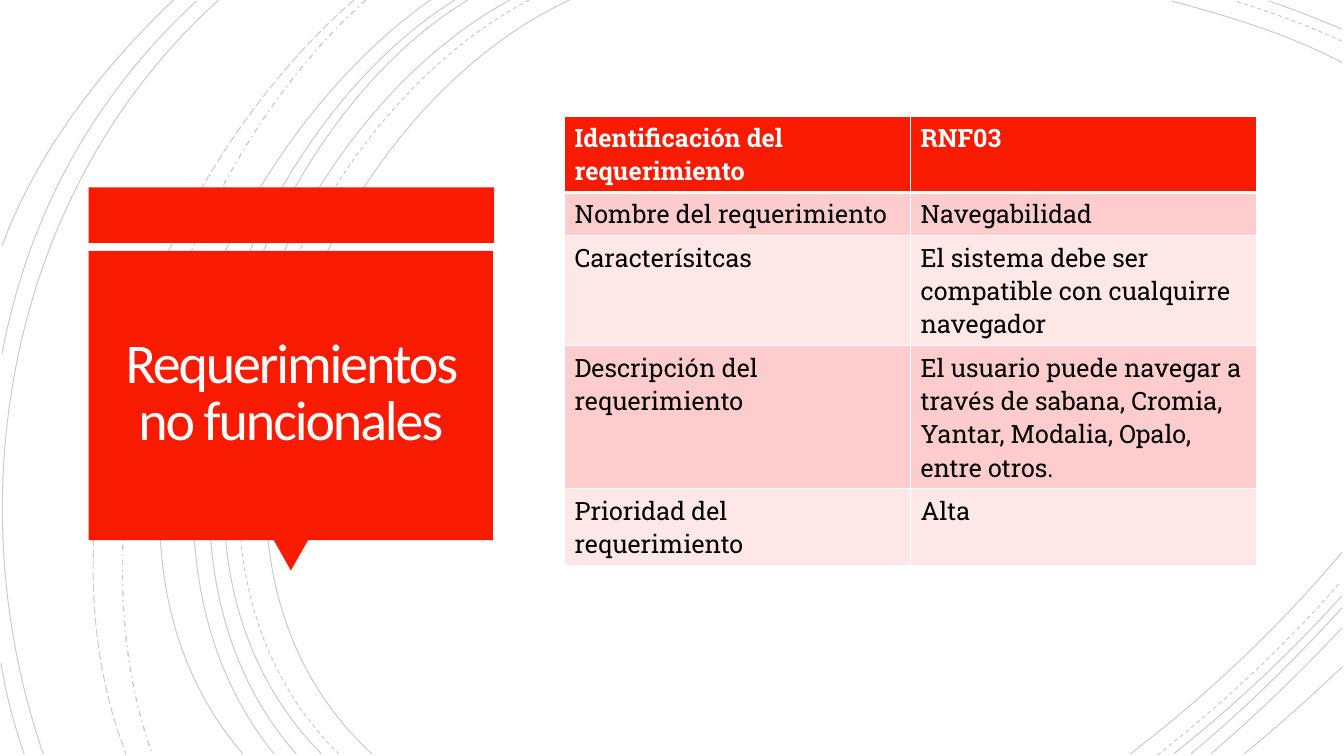
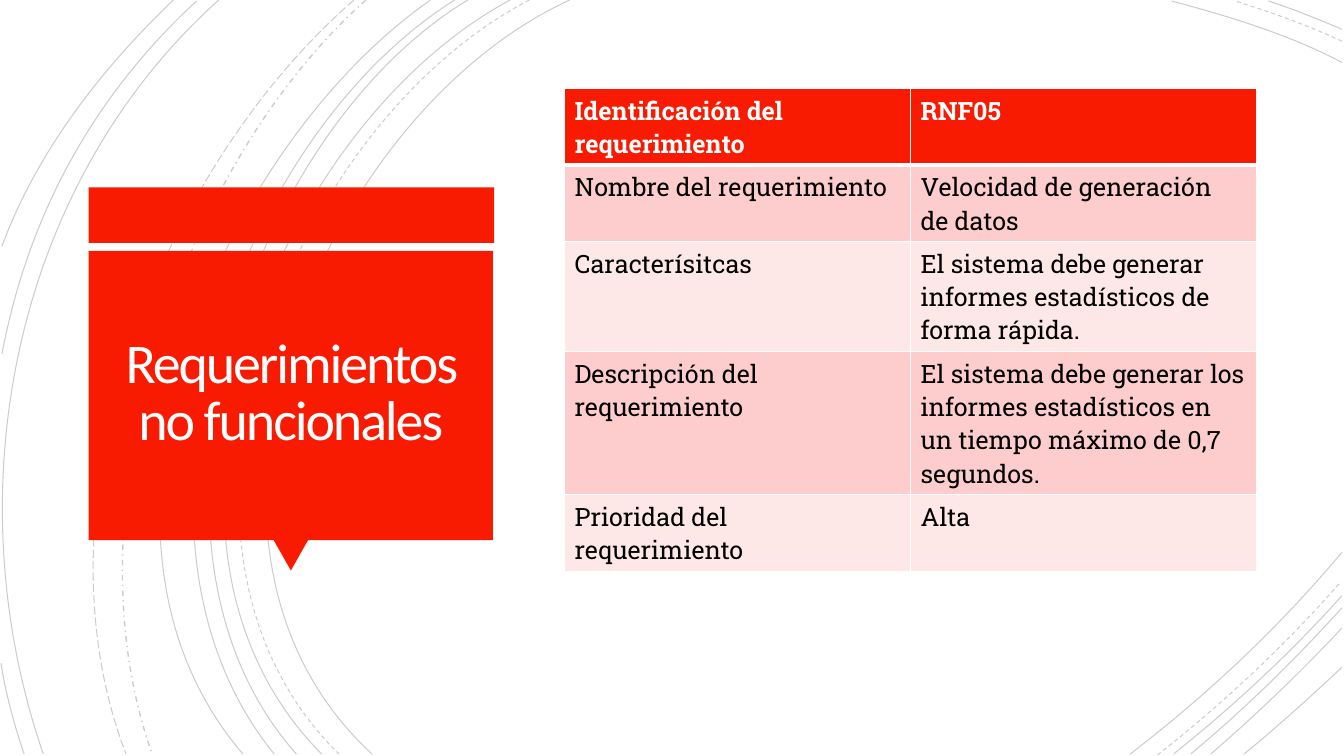
from dataclasses import dataclass
from typing import Any, NamedTuple

from lxml import etree
from pptx import Presentation
from pptx import util as u
from pptx.dml import color
from pptx.enum import dml, shapes, text
from pptx.oxml import ns


@dataclass(frozen=True)
class Theme:
    red: str = "F81B02"
    band_dark: str = "FCCDCC"
    band_light: str = "FEE8E7"
    white: str = "FFFFFF"
    title_ink: str = "FFFEFF"
    ink: str = "000000"
    title_font: str = "Calibri"
    table_font: str = "Roboto Slab"
    title_size: float = 40
    table_size: float = 18
    title_tracking: float = -1.5
    arc_opacity: int = 20
    border: float = 1
    header_border: float = 3


class Box(NamedTuple):
    left: float
    top: float
    width: float
    height: float

    def lengths(self) -> list[u.Length]:
        return [u.Inches(side) for side in self]


class Arc(NamedTuple):
    """A cubic curve: start, two control points and end, in inches."""
    points: tuple[tuple[float, float], ...]
    dash: Any = dml.MSO_LINE.SOLID
    weight: float = 0.75


class Panel(NamedTuple):
    preset: Any
    box: Box
    rotation: float = 0


class Requirement(NamedTuple):
    table_top: float
    lines_per_row: tuple[int, ...]
    code: str
    name: str
    features: str
    description: str
    priority: str


THEME = Theme()
SLIDE_SIZE = (13.33, 7.5)
DASH = dml.MSO_LINE.DASH

ARCS = (
    Arc(((5.65, 0), (3.15, 1.15), (1.43, 5.4), (3.69, 7.48))),
    Arc(((13.31, 0.62), (12.78, 0.34), (12.18, 0.16), (11.62, 0.01))),
    Arc(((11.21, 7.48), (11.97, 6.9), (12.69, 6.22), (13.31, 5.48))),
    Arc(((5.25, 0), (2.85, 1.25), (1.23, 5.37), (3.36, 7.48)), DASH),
    Arc(((13.31, 0.41), (12.97, 0.25), (12.6, 0.12), (12.25, 0.01)), DASH),
    Arc(((11.48, 7.49), (12.13, 6.98), (12.75, 6.4), (13.3, 5.77)), DASH),
    Arc(((5.06, 0), (2.7, 1.27), (1.1, 5.37), (3.19, 7.48))),
    Arc(((13.31, 0.29), (13.07, 0.19), (12.83, 0.09), (12.58, 0.01))),
    Arc(((11.64, 7.48), (12.23, 7.01), (12.8, 6.48), (13.31, 5.91))),
    Arc(((4.64, 0), (2.44, 1.33), (1.1, 5.41), (2.94, 7.48))),
    Arc(((11.81, 7.48), (12.34, 7.04), (12.84, 6.55), (13.31, 6.03))),
    Arc(((4.51, 0), (2.31, 1.38), (0.97, 5.33), (2.72, 7.48))),
    Arc(((12.01, 7.48), (12.46, 7.09), (12.9, 6.67), (13.31, 6.23))),
    Arc(((4.27, 0), (2.17, 1.47), (0.53, 5.29), (2.41, 7.48))),
    Arc(((12.34, 7.48), (12.67, 7.21), (12.99, 6.92), (13.31, 6.62))),
    Arc(((3.63, 0), (1.76, 1.66), (0.65, 5.09), (1.51, 7.48)), dml.MSO_LINE.DASH_DOT, 1),
    Arc(((3.51, 0), (1.57, 1.69), (0.29, 4.99), (1.25, 7.48)), dml.MSO_LINE.LONG_DASH),
    Arc(((2.17, 0), (0.11, 1.85), (-0.46, 4.9), (0.43, 7.48))),
    Arc(((1.95, 0.01), (0.92, 0.96), (0.28, 2.14), (0.02, 3.51))),
    Arc(((0.01, 6.58), (0.06, 6.89), (0.14, 7.19), (0.24, 7.48))),
    Arc(((1.72, 0), (1, 0.69), (0.37, 1.5), (0.02, 2.44))),
)

PANELS = (
    Panel(shapes.MSO_SHAPE.RECTANGLE, Box(0.88, 1.86, 4.02, 0.55)),
    Panel(shapes.MSO_SHAPE.ISOSCELES_TRIANGLE, Box(2.71, 5.35, 0.35, 0.31), 180),
    Panel(shapes.MSO_SHAPE.RECTANGLE, Box(0.88, 2.49, 4.01, 2.87)),
)

TITLE = "Requerimientos no funcionales"
TITLE_BOX = Box(0.97, 2.57, 3.83, 2.69)
TITLE_INSET = 0.25

TABLE_LEFT, TABLE_WIDTH = 5.6, 6.86
ROW_PADDING, LINE_HEIGHT = 0.1, 0.33
ROW_LABELS = (
    "Identificación del requerimiento",
    "Nombre del requerimiento",
    "Caracterísitcas",
    "Descripción del requerimiento",
    "Prioridad del requerimiento",
)

REQUIREMENTS = (
    Requirement(
        1.15, (2, 1, 3, 4, 2), "RNF03", "Navegabilidad",
        "El sistema debe ser compatible con cualquirre navegador",
        "El usuario puede navegar a través de sabana, Cromia, Yantar, Modalia, Opalo, entre otros.",
        "Alta",
    ),
    Requirement(
        0.88, (2, 2, 3, 4, 2), "RNF05", "Velocidad de generación de datos",
        "El sistema debe generar informes estadísticos de forma rápida.",
        "El sistema debe generar los informes estadísticos en un tiempo máximo de 0,7 segundos.",
        "Alta",
    ),
)


def rgb(code: str) -> color.RGBColor:
    return color.RGBColor.from_string(code)


def apply_format(target: Any, values: dict[str, Any]) -> None:
    for attribute, value in values.items():
        setattr(target, attribute, value)


def style_font(font: Any, ink: str, **values: Any) -> None:
    apply_format(font, values)
    font.color.rgb = rgb(ink)


def draw_arc(group: Any, arc: Arc) -> None:
    start, *rest = [(u.Inches(x), u.Inches(y)) for x, y in arc.points]
    builder = group.shapes.build_freeform(*start)
    builder.add_line_segments(rest, close=False)
    curve = builder.convert_to_shape()
    curve.shadow.inherit = False
    curve.fill.background()
    curve.line.color.rgb = rgb(THEME.ink)
    apply_format(curve.line, {"width": u.Pt(arc.weight), "dash_style": arc.dash})

    ink = curve.line._ln.find(".//" + ns.qn("a:srgbClr"))
    etree.SubElement(ink, ns.qn("a:alpha"), val=str(THEME.arc_opacity * 1000))

    # The three straight segments become one Bézier segment.
    segments = list(curve._element.iter(ns.qn("a:lnTo")))
    bezier = etree.SubElement(segments[0].getparent(), ns.qn("a:cubicBezTo"))
    for segment in segments:
        bezier.append(segment[0])
        segment.getparent().remove(segment)


def draw_panel(group: Any, panel: Panel) -> None:
    block = group.shapes.add_shape(panel.preset, *panel.box.lengths())
    block.rotation = panel.rotation
    block.shadow.inherit = False
    block.fill.solid()
    block.fill.fore_color.rgb = rgb(THEME.red)
    block.line.fill.background()


def draw_title(slide: Any) -> None:
    frame = slide.shapes.add_textbox(*TITLE_BOX.lengths()).text_frame
    inset = u.Inches(TITLE_INSET)
    apply_format(frame, {
        "word_wrap": True,
        "vertical_anchor": text.MSO_ANCHOR.MIDDLE,
        "margin_left": inset,
        "margin_top": inset,
        "margin_right": inset,
        "margin_bottom": inset,
    })
    heading = frame.paragraphs[0]
    apply_format(heading, {"alignment": text.PP_ALIGN.CENTER, "line_spacing": 0.85})
    words = heading.add_run()
    words.text = TITLE
    style_font(words.font, THEME.title_ink, name=THEME.title_font, size=u.Pt(THEME.title_size))
    words.font._element.set("spc", str(int(THEME.title_tracking * 100)))


def draw_frame(slide: Any) -> None:
    """Draw what every slide shares: arcs, red panels and title."""
    arcs = slide.shapes.add_group_shape()
    for arc in ARCS:
        draw_arc(arcs, arc)
    panels = slide.shapes.add_group_shape()
    for panel in PANELS:
        draw_panel(panels, panel)
    draw_title(slide)


def set_borders(cell: Any, top: float, bottom: float) -> None:
    properties = cell._tc.get_or_add_tcPr()
    weights = {"lnL": THEME.border, "lnR": THEME.border, "lnT": top, "lnB": bottom}
    for side, weight in weights.items():
        edge = etree.SubElement(properties, ns.qn(f"a:{side}"), w=str(u.Pt(weight)))
        paint = etree.SubElement(edge, ns.qn("a:solidFill"))
        etree.SubElement(paint, ns.qn("a:srgbClr"), val=THEME.white)


def fill_cell(cell: Any, row: int, content: str) -> None:
    is_header = row == 0
    band = THEME.band_dark if row % 2 else THEME.band_light
    set_borders(
        cell,
        top=THEME.header_border if row == 1 else THEME.border,
        bottom=THEME.header_border if is_header else THEME.border,
    )
    cell.fill.solid()
    cell.fill.fore_color.rgb = rgb(THEME.red if is_header else band)
    words = cell.text_frame.paragraphs[0].add_run()
    words.text = content
    style_font(
        words.font, THEME.white if is_header else THEME.ink,
        name=THEME.table_font, size=u.Pt(THEME.table_size), bold=is_header,
    )


def draw_requirement(slide: Any, requirement: Requirement) -> None:
    table_top, lines_per_row, *answers = requirement
    heights = [ROW_PADDING + LINE_HEIGHT * lines for lines in lines_per_row]
    box = Box(TABLE_LEFT, table_top, TABLE_WIDTH, sum(heights))
    table = slide.shapes.add_table(len(heights), 2, *box.lengths()).table
    apply_format(table, {"first_row": False, "horz_banding": False})
    for row, (height, *pair) in enumerate(zip(heights, ROW_LABELS, answers)):
        table.rows[row].height = u.Inches(height)
        for column, content in enumerate(pair):
            fill_cell(table.cell(row, column), row, content)


def main() -> None:
    deck = Presentation()
    deck.slide_width, deck.slide_height = map(u.Inches, SLIDE_SIZE)
    blank = deck.slide_layouts[6]
    for requirement in REQUIREMENTS:
        slide = deck.slides.add_slide(blank)
        draw_frame(slide)
        draw_requirement(slide, requirement)
    deck.save("out.pptx")


if __name__ == "__main__":
    main()
